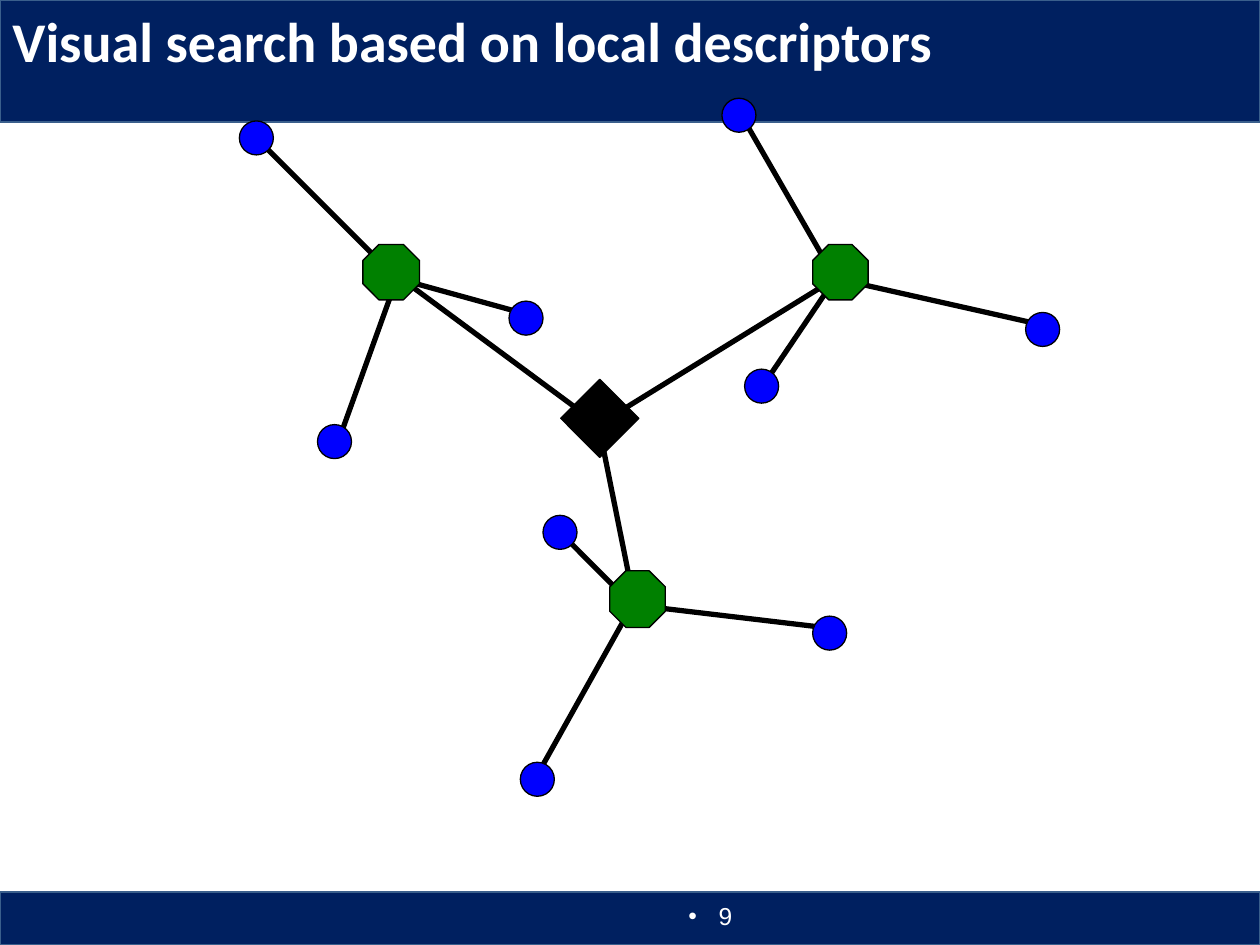
from lxml.etree import SubElement
from pptx import Presentation
from pptx.dml.color import RGBColor
from pptx.enum.shapes import MSO_CONNECTOR, MSO_SHAPE
from pptx.enum.text import MSO_ANCHOR, PP_ALIGN
from pptx.oxml.ns import qn
from pptx.util import Inches, Pt

COLORS = {"navy": "002060", "edge": "3A5F8C", "leaf": "0000FF",
          "hub": "008000", "black": "000000", "white": "FFFFFF"}
CENTER = (4.75, 3.37)
LEAF_SIZE = 0.27
HUBS = [
    {"box": (2.88, 1.94, 0.45, 0.44), "joint": (3.15, 2.21), "trunk": (3.06, 2.12),
     "leaves": [((4.04, 2.39), (4.13, 2.48)),
                ((1.9, 0.96), (2.08, 1.14)),
                ((2.52, 3.37), (2.7, 3.46))]},
    {"box": (6.45, 1.94, 0.44, 0.44), "joint": (6.63, 2.21), "trunk": (6.63, 2.21),
     "leaves": [((5.73, 0.78), (5.91, 0.96)),
                ((8.14, 2.48), (8.23, 2.57)),
                ((5.91, 2.93), (6.09, 3.01))]},
    {"box": (4.84, 4.53, 0.44, 0.45), "joint": (5.02, 4.8), "trunk": (5.02, 4.71),
     "leaves": [((6.45, 4.89), (6.54, 4.98)),
                ((4.13, 6.05), (4.22, 6.23)),
                ((4.31, 4.09), (4.48, 4.26))]},
]
TEXTS = [
    {"text": "9", "box": (3.58, 7.08, 2.33, 0.4), "top": 0.07, "align": PP_ALIGN.RIGHT,
     "bullet": True, "font": {"name": "Arial", "size": Pt(14), "bold": False}},
    {"text": "Visual search based on local descriptors", "box": (0, 0, 8.98, 1),
     "top": 0.05, "align": PP_ALIGN.LEFT, "bullet": False,
     "font": {"name": "Calibri", "size": Pt(32), "bold": True}},
]

prs = Presentation()
prs.slide_width, prs.slide_height = Inches(10), Inches(7.5)
s = prs.slides.add_slide(prs.slide_layouts[6])


def add_shape(kind, box, fill, line="black", width=0.75):
    sp = s.shapes.add_shape(kind, *map(Inches, box))
    sp.shadow.inherit = False
    sp.fill.solid()
    sp.fill.fore_color.rgb = RGBColor.from_string(COLORS[fill])
    sp.line.color.rgb = RGBColor.from_string(COLORS[line])
    sp.line.width = Pt(width)
    return sp


def add_line(shapes, start, end):
    c = shapes.add_connector(MSO_CONNECTOR.STRAIGHT, *map(Inches, start + end))
    c.line.color.rgb = RGBColor.from_string(COLORS["black"])
    c.line.width = Pt(3)
    SubElement(c._element.spPr, qn("a:effectLst"))


for top, height in ((0, 0.97), (7.08, 0.42)):
    add_shape(MSO_SHAPE.RECTANGLE, (0, top, 10, height), "navy", "edge", 1)

edges = s.shapes.add_group_shape()
for hub in HUBS:
    add_line(edges.shapes, CENTER, hub["trunk"])
    for _, end in hub["leaves"]:
        add_line(edges.shapes, hub["joint"], end)

for hub in HUBS:
    for corner, _ in hub["leaves"]:
        add_shape(MSO_SHAPE.FLOWCHART_CONNECTOR, corner + (LEAF_SIZE, LEAF_SIZE), "leaf")
    sp = add_shape(MSO_SHAPE.OCTAGON, hub["box"], "hub")
    sp.adjustments[0] = 0.29
add_shape(MSO_SHAPE.DIAMOND, (4.45, 3.01, 0.62, 0.62), "black")

for item in TEXTS:
    tf = s.shapes.add_textbox(*map(Inches, item["box"])).text_frame
    tf.word_wrap = True
    tf.vertical_anchor = MSO_ANCHOR.TOP
    tf.margin_top = Inches(item["top"])
    p = tf.paragraphs[0]
    p.alignment = item["align"]
    if item["bullet"]:
        pPr = p._p.get_or_add_pPr()
        pPr.set("marL", str(Inches(0.24)))
        pPr.set("indent", str(-Inches(0.24)))
        SubElement(pPr, qn("a:buFont"), typeface="Arial")
        SubElement(pPr, qn("a:buChar"), char="•")
    r = p.add_run()
    r.text = item["text"]
    for key, value in item["font"].items():
        setattr(r.font, key, value)
    r.font.color.rgb = RGBColor.from_string(COLORS["white"])

prs.save("out.pptx")
